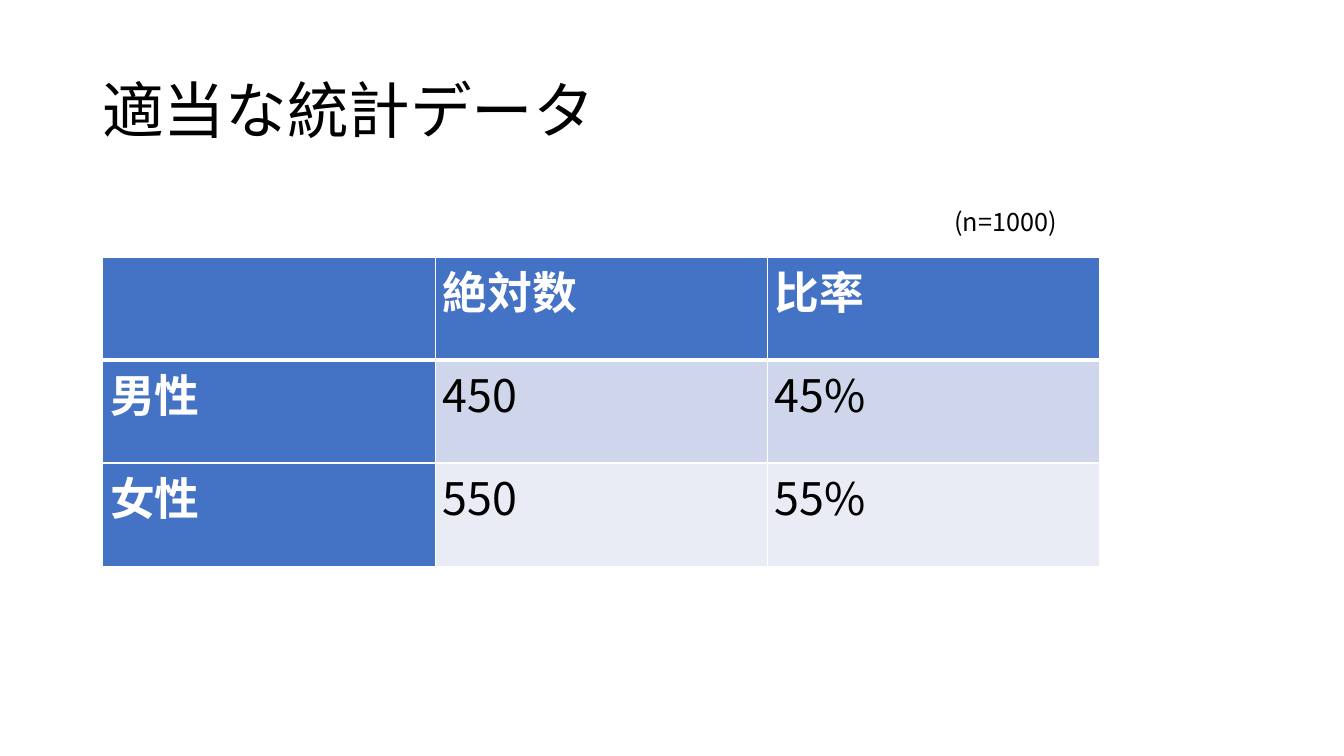
from lxml.etree import SubElement
from pptx import Presentation
from pptx.dml.color import RGBColor
from pptx.enum.text import MSO_ANCHOR as Anchor, MSO_AUTO_SIZE as AutoSize, PP_ALIGN as Align
from pptx.oxml.ns import qn
from pptx.util import Pt

WHITE, BLACK, BLUE = "FFFFFF", "000000", "4472C4"
BAND_FILLS = ["CFD5EA", "E9EBF5"]


def color(hex_code):
    return RGBColor.from_string(hex_code)


class SlideBuilder:
    font_name = "Noto Sans CJK JP"

    def __init__(self, slide):
        self.slide = slide

    def set_text(self, frame, text, size, hex_code=BLACK, bold=False):
        paragraph = frame.paragraphs[0]
        paragraph.text = text
        font = paragraph.font
        font.name, font.size, font.bold = self.font_name, Pt(size), bold
        font.color.rgb = color(hex_code)
        properties = paragraph._p.find(".//" + qn("a:defRPr"))
        SubElement(properties, qn("a:ea"), typeface=self.font_name)
        return paragraph

    def text(self, left, top, width, height, text, size, wrap=True):
        shape = self.slide.shapes.add_textbox(Pt(left), Pt(top), Pt(width), Pt(height))
        frame = shape.text_frame
        frame.word_wrap = wrap
        frame.auto_size = AutoSize.NONE if wrap else AutoSize.SHAPE_TO_FIT_TEXT
        frame.vertical_anchor = Anchor.MIDDLE if wrap else Anchor.TOP
        return self.set_text(frame, text, size)

    def border(self, cell, side, width):
        line = SubElement(cell._tc.get_or_add_tcPr(), qn(f"a:ln{side}"), w=str(Pt(width)))
        fill = SubElement(line, qn("a:solidFill"))
        SubElement(fill, qn("a:srgbClr"), val=WHITE)

    def cell(self, cell, text, fill, is_heading, top_width, bottom_width):
        cell.margin_left = cell.margin_right = Pt(5.2)
        cell.margin_top = cell.margin_bottom = 0
        for side, width in zip("LRTB", (1, 1, top_width, bottom_width)):
            self.border(cell, side, width)
        cell.fill.solid()
        cell.fill.fore_color.rgb = color(fill)
        text_color = WHITE if is_heading else BLACK
        paragraph = self.set_text(cell.text_frame, text, 32, text_color, is_heading)
        paragraph.alignment = Align.JUSTIFY

    def table(self, left, top, width, height, rows):
        table = self.slide.shapes.add_table(
            len(rows), len(rows[0]), Pt(left), Pt(top), Pt(width), Pt(height)
        ).table
        for row_index, row in enumerate(rows):
            for column_index, text in enumerate(row):
                is_heading = row_index == 0 or column_index == 0
                fill = BLUE if is_heading else BAND_FILLS[(row_index - 1) % 2]
                top_width = 3 if row_index == 1 else 1
                bottom_width = 3 if row_index == 0 else 1
                self.cell(table.cell(row_index, column_index), text, fill,
                          is_heading, top_width, bottom_width)


presentation = Presentation()
presentation.slide_width, presentation.slide_height = Pt(960), Pt(540)
builder = SlideBuilder(presentation.slides.add_slide(presentation.slide_layouts[6]))

title = builder.text(66, 28.75, 828, 104.4, "適当な統計データ", 44)
title.line_spacing = 0.9
builder.table(73.5, 183.6, 712, 220.8, [
    ["", "絶対数", "比率"],
    ["男性", "450", "45%"],
    ["女性", "550", "55%"],
])
builder.text(674.6, 144, 92.9, 29, "(n=1000)", 18, wrap=False)

presentation.save("out.pptx")
